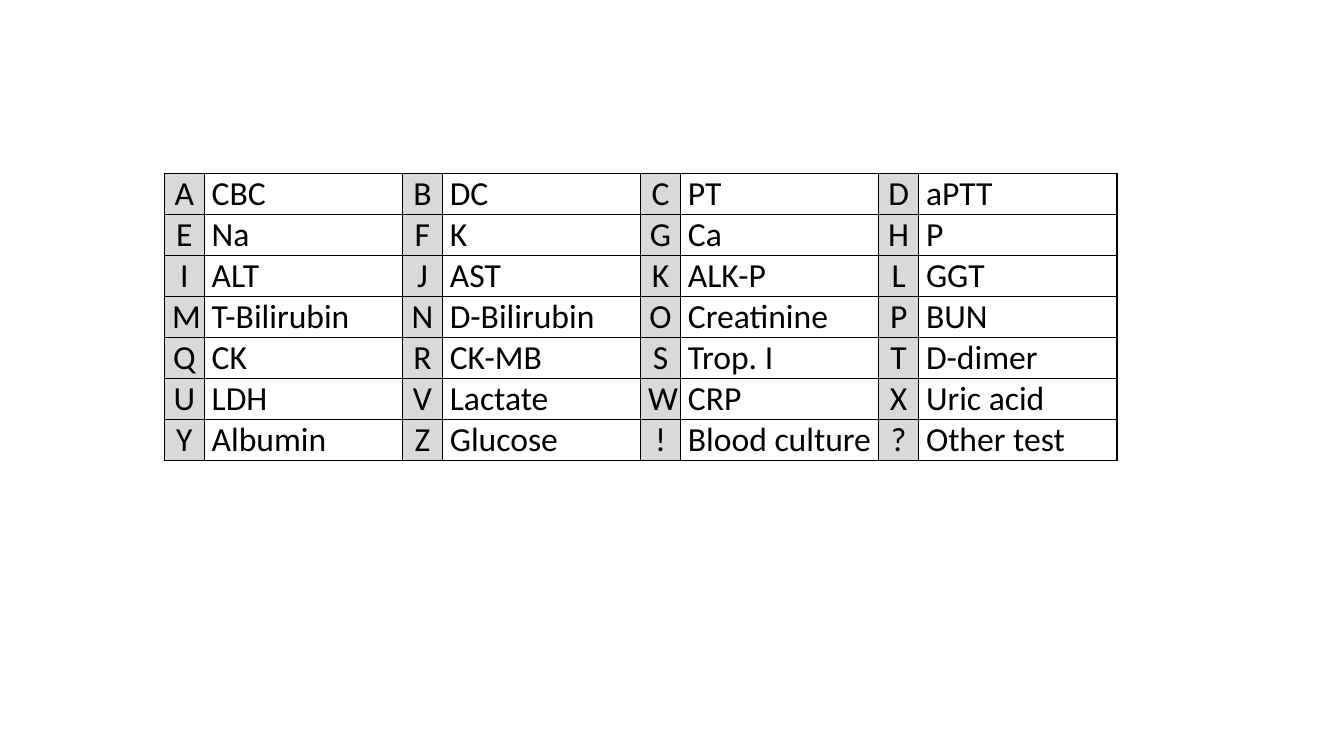
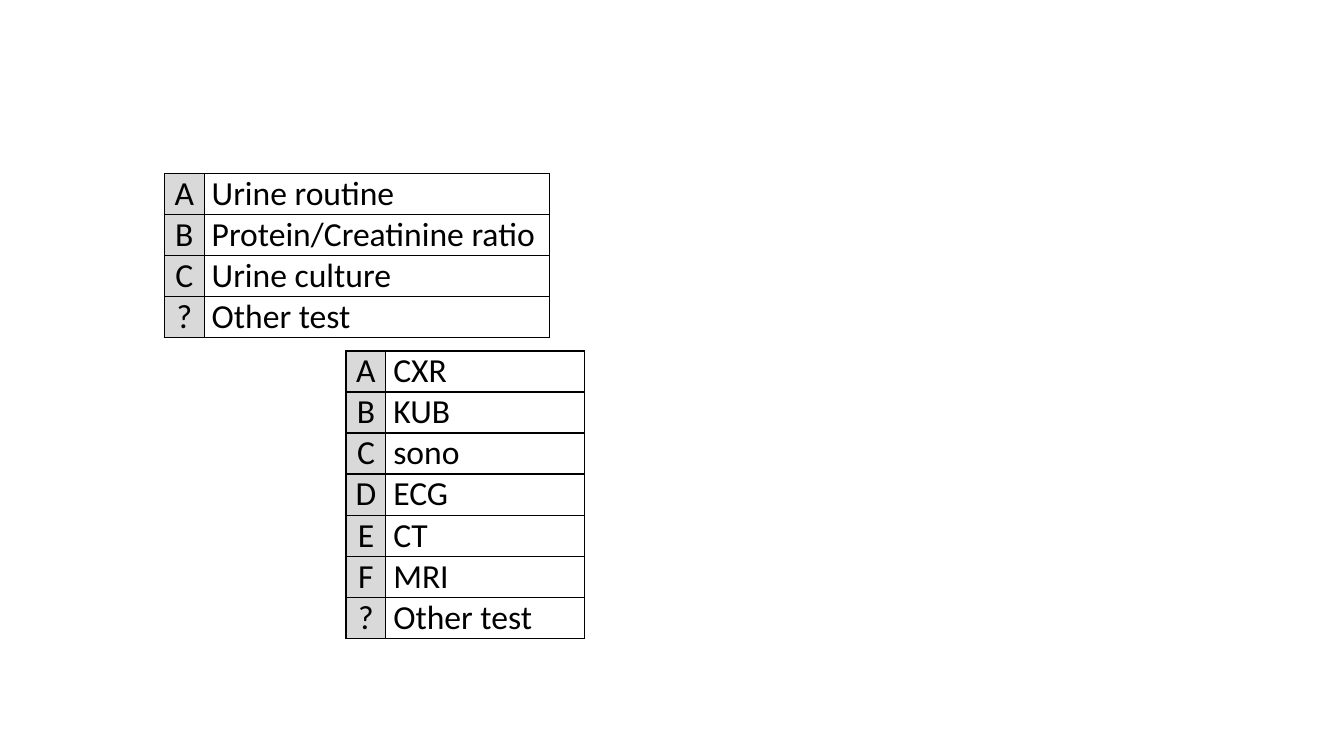
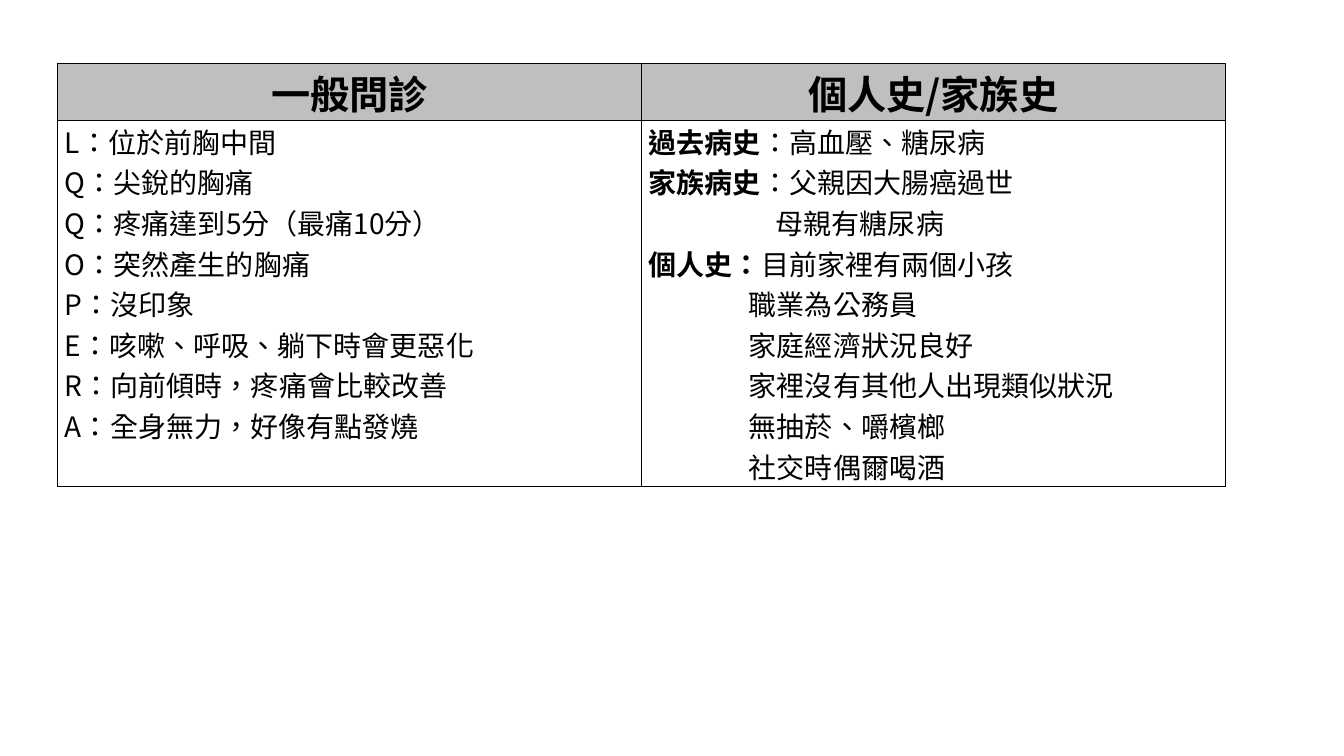
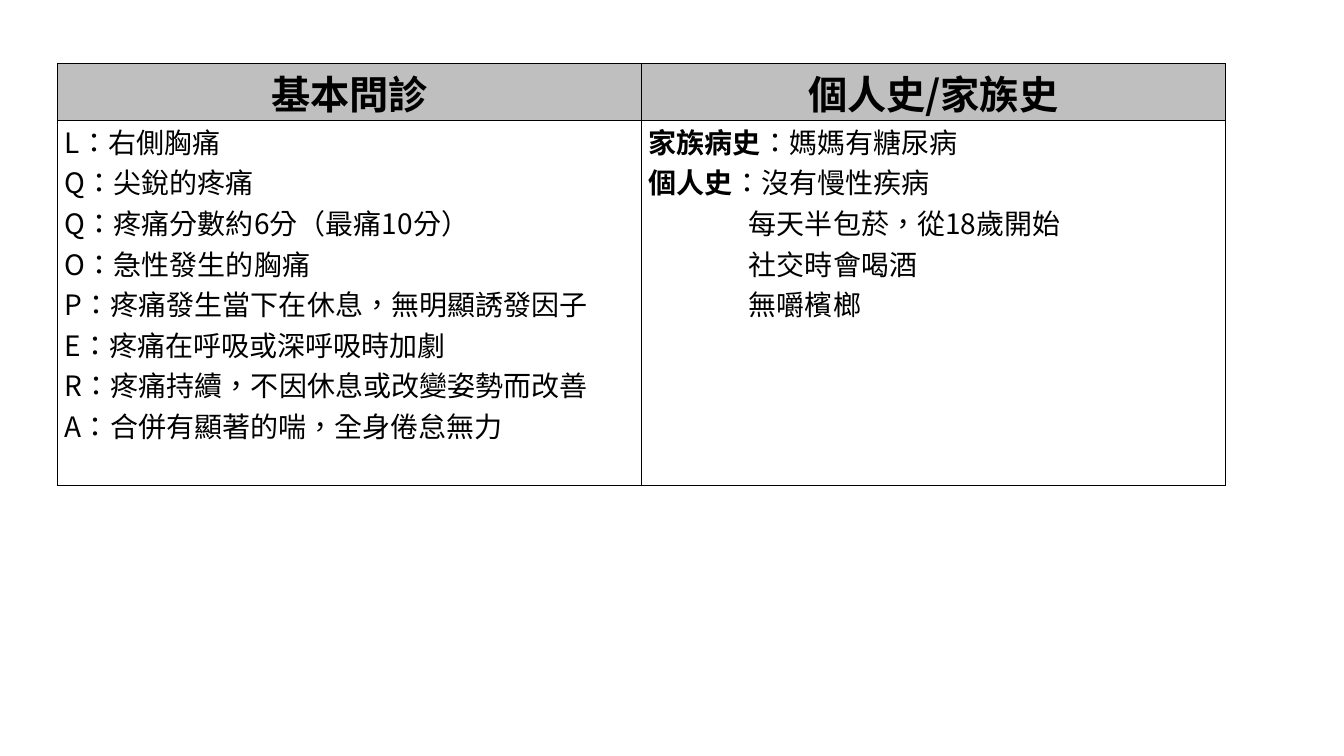
from lxml.etree import SubElement
from pptx import Presentation
from pptx.dml.color import RGBColor
from pptx.enum.lang import MSO_LANGUAGE_ID as LANG
from pptx.enum.text import PP_ALIGN
from pptx.oxml.ns import qn
from pptx.util import Pt

BLACK = RGBColor(0x00, 0x00, 0x00)
WHITE = RGBColor(0xFF, 0xFF, 0xFF)
KEY_GRAY = RGBColor(0xD9, 0xD9, 0xD9)
HEAD_GRAY = RGBColor(0xBF, 0xBF, 0xBF)
LATIN, CJK = "Calibri", "Noto Sans CJK SC"

KEY_W, NAME_W, ROW_H = 28.35, 141.75, 29.3
HEAD_H, BODY_H, HISTORY_W = 40.6, 261, 417.1
INDENT, WIDE_INDENT = 71.5, 90.7

prs = Presentation()
prs.slide_width, prs.slide_height = Pt(960), Pt(540)
blank = prs.slide_layouts[6]


def add_grid(s, left, top, widths, heights):
    """Add an unbanded table with the given column widths and row heights."""
    table = s.shapes.add_table(len(heights), len(widths), Pt(left), Pt(top),
                               Pt(sum(widths)), Pt(sum(heights))).table
    table.first_row = table.horz_banding = False
    for col, width in zip(table.columns, widths):
        col.width = Pt(width)
    for row, height in zip(table.rows, heights):
        row.height = Pt(height)
    return table


def fill_cell(cell, lines, size, font, color, align=PP_ALIGN.LEFT):
    """Style a cell and write its lines, each (bold label, text, indent)."""
    cell.margin_left = cell.margin_right = Pt(5.4)
    cell.margin_top = cell.margin_bottom = 0
    tc_pr = cell._tc.get_or_add_tcPr()
    for side in ("a:lnL", "a:lnR", "a:lnT", "a:lnB"):
        ln = SubElement(tc_pr, qn(side), w=str(Pt(1)))
        paint = SubElement(ln, qn("a:solidFill"))
        SubElement(paint, qn("a:srgbClr"), val=str(BLACK))
    cell.fill.solid()
    cell.fill.fore_color.rgb = color
    tf = cell.text_frame
    for i, (label, text, indent) in enumerate(lines):
        p = tf.add_paragraph() if i else tf.paragraphs[0]
        p.alignment = align
        if indent:
            p._p.get_or_add_pPr().set("marL", str(Pt(indent)))
        for part, bold in ((label, True), (text, False)):
            if not part:
                continue
            r = p.add_run()
            r.text = part
            r.font.size, r.font.name, r.font.bold = Pt(size), font, bold
            r.font.color.rgb = BLACK
            if font == CJK:
                r.font.language_id = LANG.TRADITIONAL_CHINESE
                latin = r._r.rPr.find(qn("a:latin"))
                latin.addnext(r._r.rPr.makeelement(qn("a:ea"), {"typeface": CJK}))


# Slides 1 and 2: test menus, each a key beside a test name
blood_tests = [
    "CBC", "DC", "PT", "aPTT",
    "Na", "K", "Ca", "P",
    "ALT", "AST", "ALK-P", "GGT",
    "T-Bilirubin", "D-Bilirubin", "Creatinine", "BUN",
    "CK", "CK-MB", "Trop. I", "D-dimer",
    "LDH", "Lactate", "CRP", "Uric acid",
    "Albumin", "Glucose", "Blood culture", "Other test",
]
urine_tests = ["Urine routine", "Protein/Creatinine ratio", "Urine culture", "Other test"]
imaging_tests = ["CXR", "KUB", "sono", "ECG", "CT", "MRI", "Other test"]

blood_slide = prs.slides.add_slide(blank)
other_slide = prs.slides.add_slide(blank)
menus = [
    (blood_slide, 117.5, 124, 4, NAME_W, "ABCDEFGHIJKLMNOPQRSTUVWXYZ!?", blood_tests),
    (other_slide, 117.5, 124, 1, 246.5, "ABC?", urine_tests),
    (other_slide, 247.2, 250.7, 1, NAME_W, "ABCDEF?", imaging_tests),
]
for s, left, top, pairs, name_w, keys, tests in menus:
    table = add_grid(s, left, top, [KEY_W, name_w] * pairs,
                     [ROW_H] * (len(tests) // pairs))
    for i, (key, test) in enumerate(zip(keys, tests)):
        row, pair = divmod(i, pairs)
        fill_cell(table.cell(row, 2 * pair), [("", key, 0)], 24, LATIN,
                  KEY_GRAY, PP_ALIGN.CENTER)
        fill_cell(table.cell(row, 2 * pair + 1), [("", test, 0)], 24, LATIN, WHITE)

# Slides 3 and 4: patient histories
histories = [
    ("一般問診",
     ["L：位於前胸中間", "Q：尖銳的胸痛", "Q：疼痛達到5分（最痛10分）",
      "O：突然產生的胸痛", "P：沒印象", "E：咳嗽、呼吸、躺下時會更惡化",
      "R：向前傾時，疼痛會比較改善", "A：全身無力，好像有點發燒"],
     [("過去病史", "：高血壓、糖尿病", 0),
      ("家族病史", "：父親因大腸癌過世", 0),
      ("", "母親有糖尿病", WIDE_INDENT),
      ("個人史：", "目前家裡有兩個小孩", 0),
      ("", "職業為公務員", INDENT),
      ("", "家庭經濟狀況良好", INDENT),
      ("", "家裡沒有其他人出現類似狀況", INDENT),
      ("", "無抽菸、嚼檳榔", INDENT),
      ("", "社交時偶爾喝酒", INDENT)]),
    ("基本問診",
     ["L：右側胸痛", "Q：尖銳的疼痛", "Q：疼痛分數約6分（最痛10分）",
      "O：急性發生的胸痛", "P：疼痛發生當下在休息，無明顯誘發因子",
      "E：疼痛在呼吸或深呼吸時加劇", "R：疼痛持續，不因休息或改變姿勢而改善",
      "A：合併有顯著的喘，全身倦怠無力"],
     [("家族病史", "：媽媽有糖尿病", 0),
      ("個人史", "：沒有慢性疾病", 0),
      ("", "每天半包菸，從18歲開始", INDENT),
      ("", "社交時會喝酒", INDENT),
      ("", "無嚼檳榔", INDENT)]),
]
for heading, symptoms, background in histories:
    s = prs.slides.add_slide(blank)
    table = add_grid(s, 41, 45.5, [HISTORY_W] * 2, [HEAD_H, BODY_H])
    for col, title in enumerate((heading, "個人史/家族史")):
        fill_cell(table.cell(0, col), [(title, "", 0)], 28, CJK,
                  HEAD_GRAY, PP_ALIGN.CENTER)
    symptom_lines = [("", symptom, 0) for symptom in symptoms]
    for col, lines in enumerate((symptom_lines, background)):
        fill_cell(table.cell(1, col), lines, 20, CJK, WHITE)

prs.save("out.pptx")
